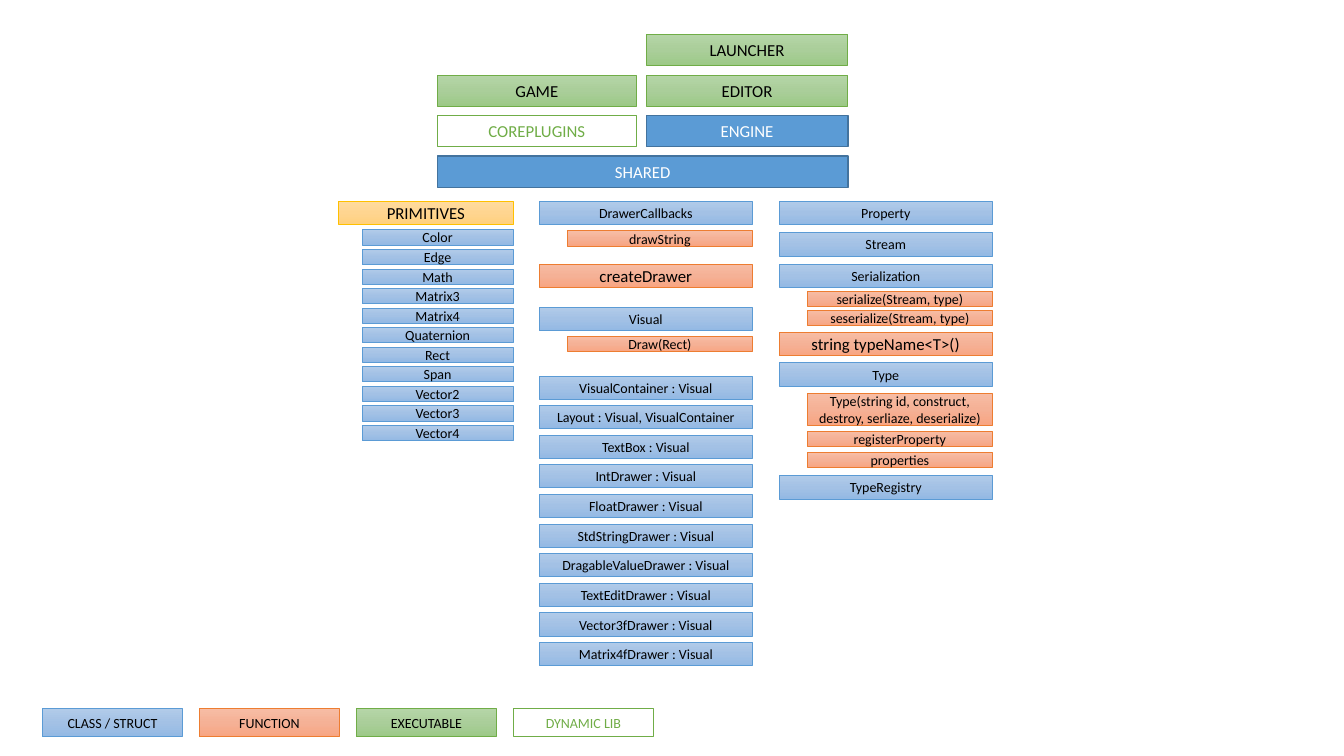
from copy import deepcopy
from pptx import Presentation
from pptx.dml.color import RGBColor
from pptx.enum.shapes import MSO_SHAPE
from pptx.enum.text import MSO_ANCHOR, PP_ALIGN
from pptx.oxml.ns import qn
from pptx.util import Inches, Pt

prs = Presentation()
prs.slide_width, prs.slide_height = Inches(13.33), Inches(7.5)
slide = prs.slides.add_slide(prs.slide_layouts[6])

# Kinds of box: fill stops, line colour, line width, text colour
STYLES = {
    "class": (["B1CBE9", "A3C1E5", "93B9E4"], "5B9BD5", 0.5, "000000"),
    "function": (["F7BDA5", "F5B196", "F8A582"], "ED7D31", 0.5, "000000"),
    "executable": (["B5D5A7", "AACE9A", "9CC987"], "70AD47", 0.5, "000000"),
    "group": (["FFDB9E", "FFD590", "FFD07C"], "FFC000", 0.5, "000000"),
    "library": (["5B9BD5"], "43739E", 1, "FFFFFF"),
    "dynamic": ([], "70AD47", 0.75, "70AD47"),
}

# Grid columns: left, width
COLS = {
    "stack": (4.34, 4.07), "stack left": (4.34, 1.97), "stack right": (6.41, 2),
    "primitives": (3.36, 1.73), "primitive": (3.59, 1.5),
    "visuals": (5.35, 2.11), "visual member": (5.63, 1.83),
    "types": (7.73, 2.11), "type member": (8.01, 1.83),
}
BIG, ROW, MEMBER = 0.31, 0.23, 0.15  # box heights


def rgb(code):
    return RGBColor.from_string(code)


def box(shapes, kind, text, col, top, height=ROW, size=10):
    stops, line, width, colour = STYLES[kind]
    sp = shapes.add_shape(MSO_SHAPE.RECTANGLE, *map(Inches, (col[0], top, col[1], height)))
    sp.shadow.inherit = False
    sp.line.color.rgb, sp.line.width = rgb(line), Pt(width)
    if not stops:
        sp.fill.background()
    elif len(stops) == 1:
        sp.fill.solid()
        sp.fill.fore_color.rgb = rgb(stops[0])
    else:
        sp.fill.gradient()
        sp.fill.gradient_angle = 270
        first = sp.element.spPr.find(qn("a:gradFill")).find(qn("a:gsLst"))[0]
        first.addnext(deepcopy(first))
        for i, stop in enumerate(sp.fill.gradient_stops):
            stop.position, stop.color.rgb = i / 2, rgb(stops[i])
    tf = sp.text_frame
    tf.word_wrap, tf.vertical_anchor = True, MSO_ANCHOR.MIDDLE
    p = tf.paragraphs[0]
    p.alignment = PP_ALIGN.CENTER
    r = p.add_run()
    r.text = text
    for name, value in {"name": "Calibri", "size": Pt(size)}.items():
        setattr(r.font, name, value)
    r.font.color.rgb = rgb(colour)


# Module stack, four even rows
for kind, text, col, row in [
    ("library", "SHARED", "stack", 3),
    ("dynamic", "COREPLUGINS", "stack left", 2),
    ("library", "ENGINE", "stack right", 2),
    ("executable", "EDITOR", "stack right", 1),
    ("executable", "GAME", "stack left", 1),
    ("executable", "LAUNCHER", "stack right", 0),
]:
    box(slide.shapes, kind, text, COLS[col], 0.34 + row * 0.403, BIG, 12)

# Primitives, grouped under their heading
group = slide.shapes.add_group_shape()
box(group.shapes, "group", "PRIMITIVES", COLS["primitives"], 2, ROW, 12)
for i, text in enumerate(["Color", "Edge", "Math", "Matrix3", "Matrix4", "Quaternion",
                          "Rect", "Span", "Vector2", "Vector3", "Vector4"]):
    box(group.shapes, "class", text, COLS["primitive"], 2.28 + i * 0.194, MEMBER)

# Classes: column, top, text
for col, top, text in [
    ("visuals", 2, "DrawerCallbacks"),
    ("visuals", 3.05, "Visual"),
    ("types", 2, "Property"),
    ("types", 2.31, "Stream"),
    ("types", 2.62, "Serialization"),
    ("types", 3.6, "Type"),
    ("types", 4.72, "TypeRegistry"),
]:
    box(slide.shapes, "class", text, COLS[col], top)

# Free functions
for col, top, text in [("visuals", 2.62, "createDrawer"), ("types", 3.3, "string typeName<T>()")]:
    box(slide.shapes, "function", text, COLS[col], top, ROW, 12)

# Member functions
for col, top, height, text in [
    ("visual member", 2.29, MEMBER, "drawString"),
    ("visual member", 3.34, MEMBER, "Draw(Rect)"),
    ("type member", 2.89, MEMBER, "serialize(Stream, type)"),
    ("type member", 3.08, MEMBER, "seserialize(Stream, type)"),
    ("type member", 3.9, 0.32, "Type(string id, construct, destroy, serliaze, deserialize)"),
    ("type member", 4.28, MEMBER, "registerProperty"),
    ("type member", 4.49, MEMBER, "properties"),
]:
    box(slide.shapes, "function", text, COLS[col], top, height)

# Visual subclasses, two evenly spaced runs
for top, names in [
    (3.73, ["VisualContainer : Visual", "Layout : Visual, VisualContainer", "TextBox : Visual"]),
    (4.61, ["IntDrawer : Visual", "FloatDrawer : Visual", "StdStringDrawer : Visual",
            "DragableValueDrawer : Visual", "TextEditDrawer : Visual",
            "Vector3fDrawer : Visual", "Matrix4fDrawer : Visual"]),
]:
    for i, text in enumerate(names):
        box(slide.shapes, "class", text, COLS["visuals"], top + i * 0.294)

# Legend
for i, (kind, text) in enumerate([("class", "CLASS / STRUCT"), ("function", "FUNCTION"),
                                  ("executable", "EXECUTABLE"), ("dynamic", "DYNAMIC LIB")]):
    box(slide.shapes, kind, text, (0.42 + i * 1.557, 1.39), 7.03, 0.28)

prs.save("out.pptx")
